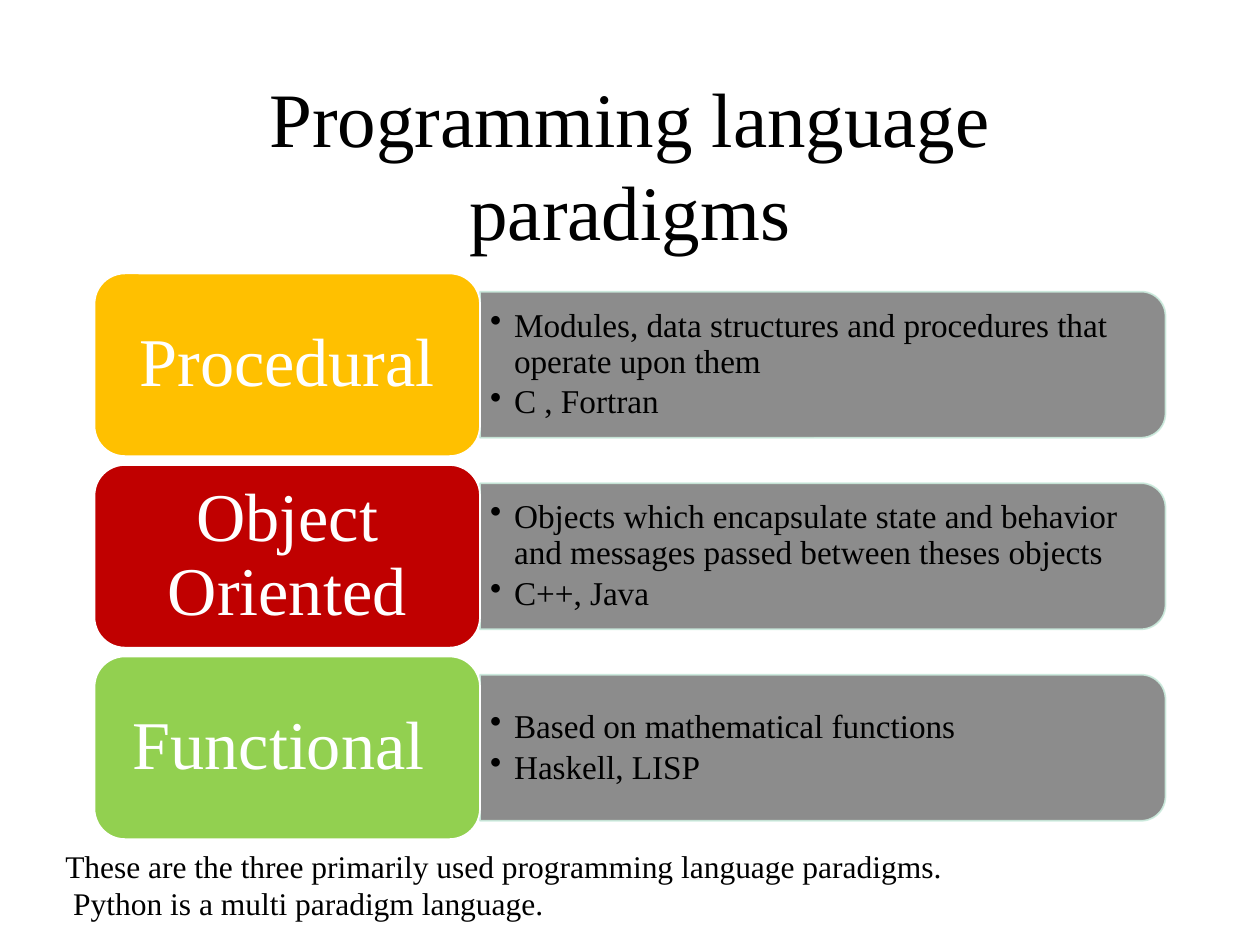
from dataclasses import dataclass

from lxml import etree
from pptx import Presentation
from pptx.dml import color
from pptx.enum import shapes, text
from pptx.oxml import ns
from pptx.util import Inches, Pt

WIDE, HIGH = 10, 7.5
LEFT, TOP, STEP = 0.75, 2.17, 1.52
LABEL_W, LABEL_H = 3.06, 1.45
PANEL_W, PANEL_H = 5.44, 1.16
FACE = "Times New Roman"


@dataclass
class Row:
    name: str
    fill: str
    points: tuple[str, str]


ROWS = [
    Row("Procedural", "FFC000",
        ("Modules, data structures and procedures that operate upon them", "C , Fortran")),
    Row("Object Oriented", "C00000",
        ("Objects which encapsulate state and behavior and messages passed between theses objects",
         "C++, Java")),
    Row("Functional ", "92D050",
        ("Based on mathematical functions", "Haskell, LISP")),
]


def tint(hue: str) -> color.RGBColor:
    return color.RGBColor.from_string(hue)


def paint(shape, fill: str, line: str) -> None:
    shape.shadow.inherit = False
    shape.fill.solid()
    shape.fill.fore_color.rgb = tint(fill)
    shape.line.color.rgb = tint(line)
    shape.line.width = Pt(1)


def fade(shape, share: int) -> None:
    for tone in shape._element.spPr.iter(ns.qn("a:srgbClr")):
        etree.SubElement(tone, ns.qn("a:alpha")).set("val", str(share * 1000))


def bullet(para) -> None:
    props = para._p.get_or_add_pPr()
    props.set("marL", str(Inches(0.19)))
    props.set("indent", str(-Inches(0.19)))
    etree.SubElement(props, ns.qn("a:buChar")).set("char", "•")


def write(shape, lines, size: int, hue: str = "000000", pad=(0.1, 0.05), mid: bool = True,
          center: bool = False, wrap: bool = True, dots: bool = False,
          lead: float = 1, after: float = 0) -> None:
    frame = shape.text_frame
    frame.word_wrap = wrap
    frame.margin_left = frame.margin_right = Inches(pad[0])
    frame.margin_top = frame.margin_bottom = Inches(pad[1])
    frame.vertical_anchor = text.MSO_ANCHOR.MIDDLE if mid else text.MSO_ANCHOR.TOP
    frame.text = "\n".join(lines)
    for para in frame.paragraphs:
        para.alignment = text.PP_ALIGN.CENTER if center else text.PP_ALIGN.LEFT
        para.line_spacing = lead
        para.space_after = Pt(after)
        if dots:
            bullet(para)
        para.font.name = FACE
        para.font.size = Pt(size)
        para.font.color.rgb = tint(hue)


def box(slide, left: float, top: float, wide: float, high: float):
    return slide.shapes.add_textbox(Inches(left), Inches(top), Inches(wide), Inches(high))


def form(slide, kind, left: float, top: float, wide: float, high: float):
    return slide.shapes.add_shape(kind, Inches(left), Inches(top), Inches(wide), Inches(high))


def draw(slide, row: Row, top: float) -> None:
    edge = LEFT + LABEL_W
    mid = top + LABEL_H / 2
    panel = form(slide, shapes.MSO_SHAPE.ROUND_2_SAME_RECTANGLE,
                 edge + (PANEL_W - PANEL_H) / 2, mid - PANEL_W / 2, PANEL_H, PANEL_W)
    panel.rotation = 90
    paint(panel, "808080", "CCECDE")
    fade(panel, 90)
    write(box(slide, edge, mid - 0.525, 5.38, 1.05), row.points, 19,
          pad=(0.08, 0.04), dots=True, lead=0.9, after=2.85)
    label = form(slide, shapes.MSO_SHAPE.ROUNDED_RECTANGLE, LEFT, top, LABEL_W, LABEL_H)
    paint(label, row.fill, "FFFFFF")
    write(label, [row.name], 39, "FFFFFF", (0.16, 0.08), center=True, lead=0.9, after=13.65)


def main() -> None:
    deck = Presentation()
    deck.slide_width, deck.slide_height = Inches(WIDE), Inches(HIGH)
    slide = deck.slides.add_slide(deck.slide_layouts[6])
    write(box(slide, LEFT, 0.67, WIDE - 2 * LEFT, 1.25),
          ["Programming language paradigms"], 44, center=True)
    for rank, row in enumerate(ROWS):
        draw(slide, row, TOP + rank * STEP)
    write(box(slide, 0.42, 6.67, 7.24, 0.71),
          ["These are the three primarily used programming language paradigms.",
           " Python is a multi paradigm language."], 18, mid=False, wrap=False)
    deck.save("out.pptx")


if __name__ == "__main__":
    main()
